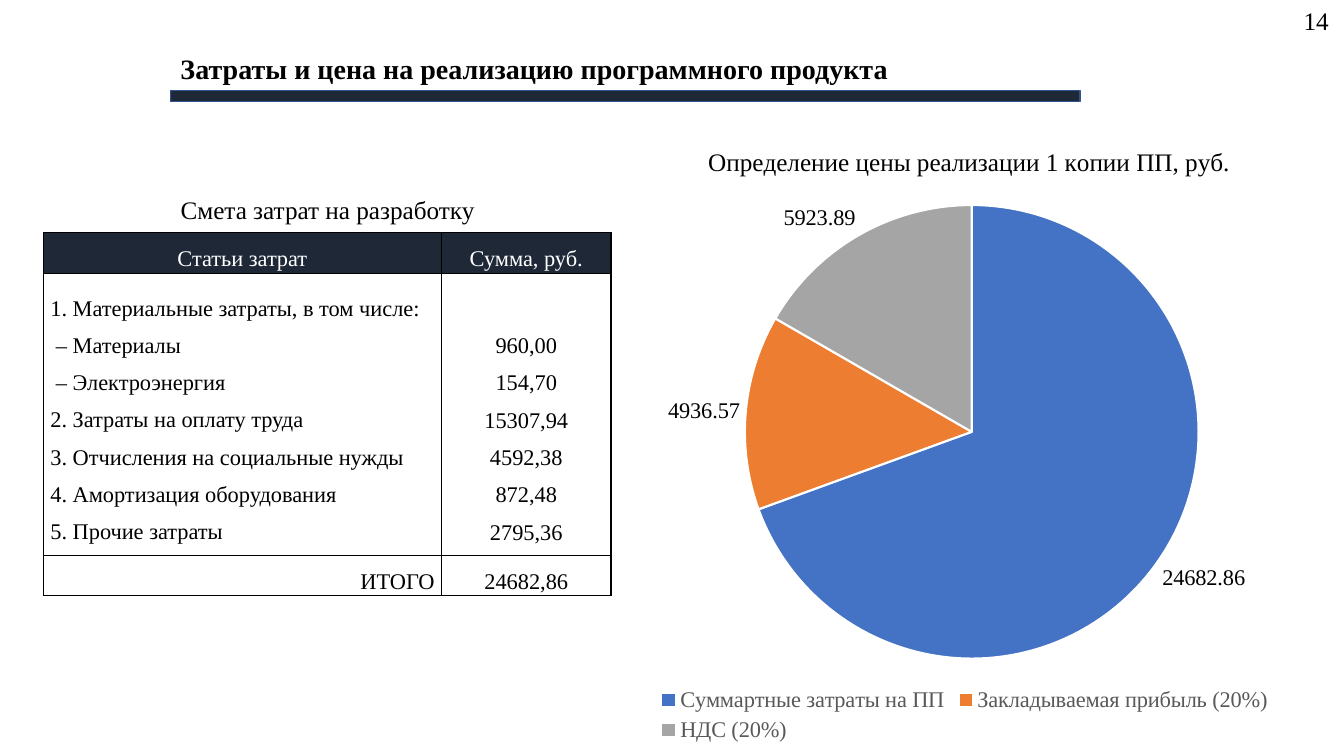
from lxml.etree import SubElement
from pptx import Presentation
from pptx.chart.data import CategoryChartData
from pptx.dml.color import RGBColor
from pptx.enum.chart import XL_CHART_TYPE, XL_LABEL_POSITION, XL_LEGEND_POSITION
from pptx.enum.shapes import MSO_SHAPE
from pptx.enum.text import MSO_ANCHOR, MSO_AUTO_SIZE, PP_ALIGN
from pptx.oxml import parse_xml
from pptx.oxml.ns import nsdecls, qn
from pptx.util import Inches, Pt

FACE = "Times New Roman"
HUES = {"ink": "000000", "navy": "1F2837", "edge": "325491", "white": "FFFFFF",
        "gray": "595959", "cost": "4472C4", "profit": "ED7D31", "tax": "A5A5A5"}

COSTS = [("1. Материальные затраты, в том числе:", None),
         (" – Материалы", "960,00"),
         (" – Электроэнергия", "154,70"),
         ("2. Затраты на оплату труда", "15307,94"),
         ("3. Отчисления на социальные нужды", "4592,38"),
         ("4. Амортизация оборудования", "872,48"),
         ("5. Прочие затраты", "2795,36")]
PRICE = [("Суммартные затраты на ПП", 24682.86, "cost"),
         ("Закладываемая прибыль (20%)", 4936.57, "profit"),
         ("НДС (20%)", 5923.89, "tax")]


def color(name):
    return RGBColor.from_string(HUES[name])


def style(font, size, hue="ink", bold=False):
    font.name, font.size, font.bold = FACE, Pt(size), bold
    font.color.rgb = color(hue)


def place(shape, left, top, width, height):
    shape.left, shape.top = Inches(left), Inches(top)
    shape.width, shape.height = Inches(width), Inches(height)


def add_title(slide, text):
    title = slide.shapes.title
    place(title, 1.69, 0.46, 7.27, 0.44)
    frame = title.text_frame
    frame.text = text
    frame.word_wrap = False
    frame.auto_size = MSO_AUTO_SIZE.NONE
    para = frame.paragraphs[0]
    para.alignment = PP_ALIGN.LEFT
    style(para.font, 20, bold=True)


def add_bar(slide):
    bar = slide.shapes.add_shape(MSO_SHAPE.RECTANGLE, Inches(1.69), Inches(0.9),
                                 Inches(9.02), Inches(0.11))
    bar.shadow.inherit = False
    bar.fill.solid()
    bar.fill.fore_color.rgb = color("navy")
    bar.line.color.rgb = color("edge")
    bar.line.width = Pt(1)


def add_label(slide, text, *box):
    label = slide.shapes.add_textbox(*map(Inches, box))
    frame = label.text_frame
    frame.word_wrap = True
    para = frame.paragraphs[0]
    para.text = text
    para.alignment = PP_ALIGN.CENTER
    style(para.font, 18)


def frame_cell(cell):
    props = cell._tc.get_or_add_tcPr()
    for side in ("lnL", "lnR", "lnT", "lnB"):
        props.append(parse_xml(
            f'<a:{side} {nsdecls("a")} w="12700"><a:solidFill>'
            f'<a:srgbClr val="{HUES["ink"]}"/></a:solidFill></a:{side}>'))


def fill_cell(cell, lines, align, head=False):
    frame_cell(cell)
    cell.fill.solid()
    cell.fill.fore_color.rgb = color("navy" if head else "white")
    cell.margin_left = cell.margin_right = Inches(0.07)
    cell.margin_top = cell.margin_bottom = 0
    cell.vertical_anchor = MSO_ANCHOR.MIDDLE
    cell.text = "\n".join(lines)
    for para in cell.text_frame.paragraphs:
        para.alignment = align
        para.line_spacing = 1.5
        style(para.font, 16, "white" if head else "ink")


def add_costs(slide):
    table = slide.shapes.add_table(3, 2, Inches(0.43), Inches(2.31),
                                   Inches(5.63), Inches(3.59)).table
    table.first_row = table.horz_banding = False
    for col, width in zip(table.columns, (3.95, 1.68)):
        col.width = Inches(width)
    for row, height in zip(table.rows, (0.4, 2.79, 0.4)):
        row.height = Inches(height)
    mid = PP_ALIGN.CENTER
    names = [name for name, _ in COSTS]
    sums = [value for _, value in COSTS if value]
    rows = [(["Статьи затрат"], mid, ["Сумма, руб."]),
            (names, PP_ALIGN.JUSTIFY, sums),
            (["ИТОГО"], PP_ALIGN.RIGHT, ["24682,86"])]
    for i, (left, align, right) in enumerate(rows):
        fill_cell(table.cell(i, 0), left, align, i == 0)
        fill_cell(table.cell(i, 1), right, mid, i == 0)
    # Sums line up with the last six cost items
    body = table.cell(1, 1)
    body.vertical_anchor = MSO_ANCHOR.BOTTOM
    body.margin_bottom = Inches(0.1)


def set_layout(node, index, **sizes):
    for old in node.findall(qn("c:layout")):
        node.remove(old)
    layout = parse_xml(f'<c:layout {nsdecls("c")}/>')
    node.insert(index, layout)
    manual = SubElement(layout, qn("c:manualLayout"))
    if "w" in sizes:
        SubElement(manual, qn("c:layoutTarget")).set("val", "inner")
    for key, value in {"xMode": "edge", "yMode": "edge", **sizes}.items():
        SubElement(manual, qn("c:" + key)).set("val", str(value))


def add_pie(slide):
    data = CategoryChartData()
    data.categories = [name for name, _, _ in PRICE]
    data.add_series("Series 1", [value for _, value, _ in PRICE])
    chart = slide.shapes.add_chart(XL_CHART_TYPE.PIE, Inches(6.16), Inches(1.16),
                                   Inches(6.82), Inches(6.25), data).chart
    style(chart.font, 16)
    # Heading and legend
    chart.has_title = True
    para = chart.chart_title.text_frame.paragraphs[0]
    para.text = "Определение цены реализации 1 копии ПП, руб."
    style(para.font, 18)
    set_layout(chart.chart_title._element, 1, x=0.12, y=0.04)
    chart.has_legend = True
    chart.legend.position = XL_LEGEND_POSITION.BOTTOM
    chart.legend.include_in_layout = False
    style(chart.legend.font, 16, "gray")
    # Slices and values
    plot = chart.plots[0]
    plot.vary_by_categories = True
    for i, (_, _, hue) in enumerate(PRICE):
        form = plot.series[0].points[i].format
        form.fill.solid()
        form.fill.fore_color.rgb = color(hue)
        form.line.color.rgb = color("white")
        form.line.width = Pt(1.5)
    labels = plot.series[0].data_labels
    labels.show_value = True
    labels.position = XL_LABEL_POSITION.OUTSIDE_END
    style(labels.font, 16)
    area = chart._chartSpace.chart.plotArea
    set_layout(area, 0, x=0.18, y=0.14, w=0.66, h=0.72)


def main():
    deck = Presentation()
    deck.slide_width, deck.slide_height = Inches(13.33), Inches(7.5)
    slide = deck.slides.add_slide(deck.slide_layouts[5])
    # Header
    add_title(slide, "Затраты и цена на реализацию программного продукта")
    add_bar(slide)
    add_label(slide, "14", 12.78, 0, 0.55, 0.4)
    # Cost table
    add_label(slide, "Смета затрат на разработку", 0.43, 1.88, 5.64, 0.4)
    add_costs(slide)
    # Price chart
    add_pie(slide)
    deck.save("out.pptx")


if __name__ == "__main__":
    main()
